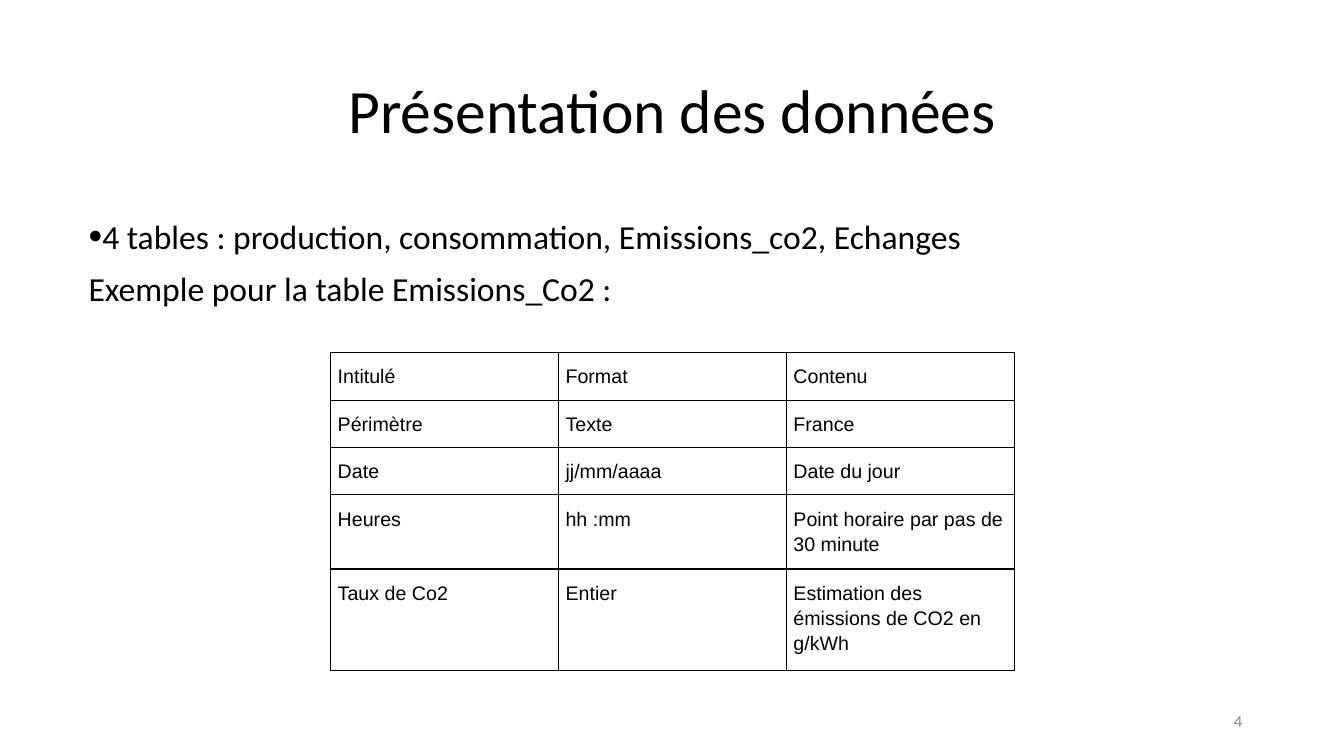
from lxml.etree import SubElement
from pptx import Presentation
from pptx.dml.color import RGBColor
from pptx.enum.text import MSO_ANCHOR, PP_ALIGN
from pptx.oxml.ns import qn
from pptx.util import Inches, Pt

BLACK = RGBColor(0x00, 0x00, 0x00)
GRAY = RGBColor(0x88, 0x88, 0x88)

TITLE = "Présentation des données"
PAGE_NUMBER = "4"
BODY = [
    [("•", "Arial", 28),
     ("4 tables : production, consommation, Emissions_co2, Echanges", "Calibri", 24)],
    [("Exemple pour la table Emissions_Co2 :", "Calibri", 24)],
]
ROWS = [
    ("Intitulé", "Format", "Contenu"),
    ("Périmètre", "Texte", "France"),
    ("Date", "jj/mm/aaaa", "Date du jour"),
    ("Heures", "hh :mm", "Point horaire par pas de 30 minute"),
    ("Taux de Co2", "Entier", "Estimation des émissions de CO2 en g/kWh"),
]
ROW_HEIGHTS = [0.47, 0.47, 0.47, 0.73, 1.0]
COLUMN_WIDTH = 2.26

BODY_FORMAT = {"line_spacing": 0.9, "space_before": Pt(10)}
CELL_FORMAT = {"line_spacing": 1.15, "space_after": Pt(12)}


def set_attributes(target, values):
    for name, value in values.items():
        setattr(target, name, value)


def set_margins(target, horizontal, vertical):
    set_attributes(target, {
        "margin_left": Inches(horizontal), "margin_right": Inches(horizontal),
        "margin_top": Inches(vertical), "margin_bottom": Inches(vertical)})


def write_paragraph(paragraph, runs, paragraph_format, color=BLACK):
    set_attributes(paragraph, paragraph_format)
    for text, font_name, size in runs:
        run = paragraph.add_run()
        run.text = text
        set_attributes(run.font, {"name": font_name, "size": Pt(size)})
        run.font.color.rgb = color


def add_text_box(slide, *box):
    frame = slide.shapes.add_textbox(*map(Inches, box)).text_frame
    frame.word_wrap = True
    return frame


def add_borders(cell):
    properties = cell._tc.get_or_add_tcPr()
    for position, side in enumerate(("lnL", "lnR", "lnT", "lnB")):
        line = properties.makeelement(qn(f"a:{side}"), {"w": str(Pt(1))})
        properties.insert(position, line)
        fill = SubElement(line, qn("a:solidFill"))
        SubElement(fill, qn("a:srgbClr"), val=str(BLACK))


def add_data_table(slide):
    column_count = len(ROWS[0])
    table = slide.shapes.add_table(
        len(ROWS), column_count, Inches(3.28), Inches(3.5),
        Inches(COLUMN_WIDTH * column_count), Inches(sum(ROW_HEIGHTS))).table
    set_attributes(table, {"first_row": False, "horz_banding": False})
    for column in table.columns:
        column.width = Inches(COLUMN_WIDTH)
    for row, height, texts in zip(table.rows, ROW_HEIGHTS, ROWS):
        row.height = Inches(height)
        for cell, text in zip(row.cells, texts):
            set_margins(cell, 0.07, 0.1)
            cell.fill.background()
            add_borders(cell)
            write_paragraph(cell.text_frame.paragraphs[0], [(text, "Arial", 14)], CELL_FORMAT)


def main():
    presentation = Presentation()
    set_attributes(presentation, {"slide_width": Inches(13.33), "slide_height": Inches(7.5)})
    slide = presentation.slides.add_slide(presentation.slide_layouts[5])

    title = slide.shapes.title
    set_attributes(title, {"left": Inches(0.92), "top": Inches(0.4),
                           "width": Inches(11.5), "height": Inches(1.45)})
    title.text_frame.vertical_anchor = MSO_ANCHOR.MIDDLE
    write_paragraph(title.text_frame.paragraphs[0], [(TITLE, "Calibri", 44)],
                    {"alignment": PP_ALIGN.CENTER, "line_spacing": 0.9})

    number = add_text_box(slide, 9.42, 6.95, 3, 0.4)
    number.vertical_anchor = MSO_ANCHOR.MIDDLE
    write_paragraph(number.paragraphs[0], [(PAGE_NUMBER, "Calibri", 12)],
                    {"alignment": PP_ALIGN.RIGHT}, GRAY)

    body = add_text_box(slide, 0.78, 2.04, 11.98, 2.68)
    set_margins(body, 0.1, 0.1)
    for index, runs in enumerate(BODY):
        paragraph = body.add_paragraph() if index else body.paragraphs[0]
        write_paragraph(paragraph, runs, BODY_FORMAT)

    add_data_table(slide)
    presentation.save("out.pptx")


if __name__ == "__main__":
    main()
